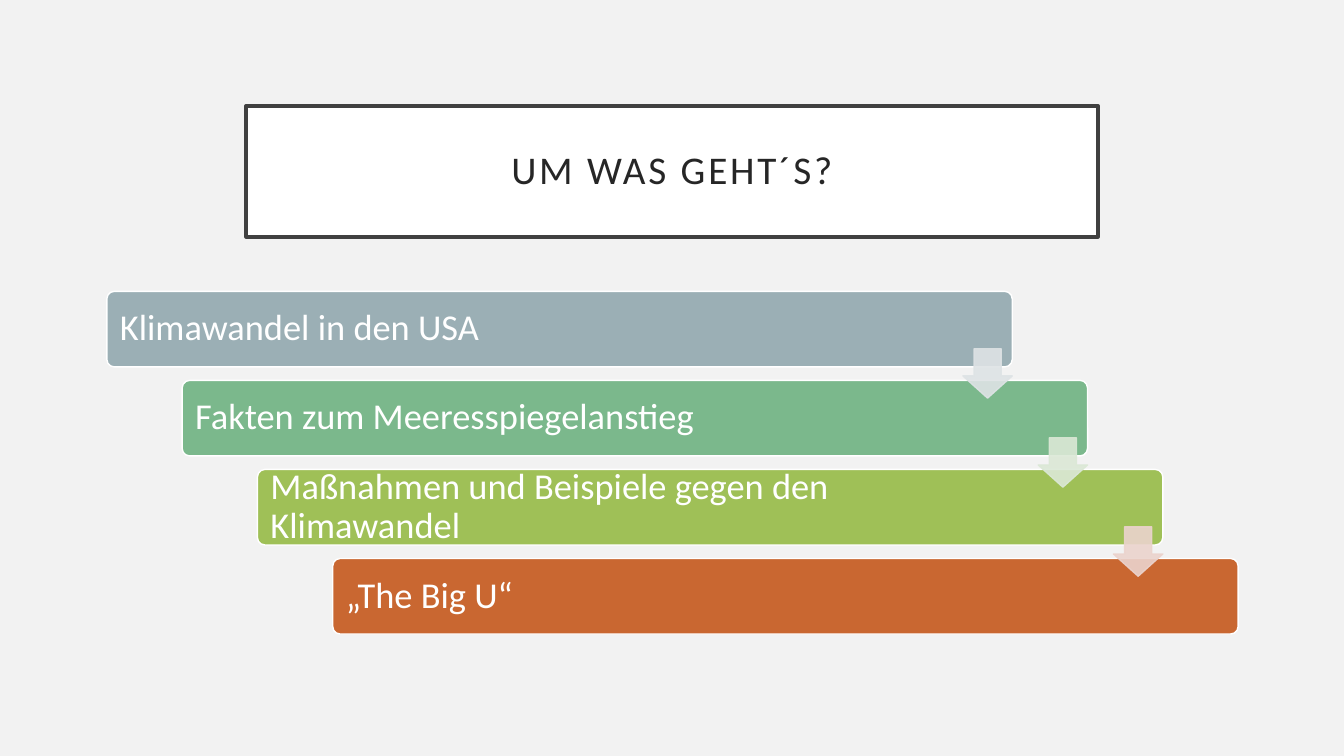
from pptx import Presentation
from pptx.dml.color import RGBColor
from pptx.enum.shapes import MSO_SHAPE
from pptx.enum.text import MSO_ANCHOR, PP_ALIGN
from pptx.oxml.ns import qn
from pptx.util import Inches, Pt
from lxml import etree

RECTANGLE = MSO_SHAPE.RECTANGLE
ROUNDED = MSO_SHAPE.ROUNDED_RECTANGLE
DOWN_ARROW = MSO_SHAPE.DOWN_ARROW
MIDDLE = MSO_ANCHOR.MIDDLE
LEFT, CENTER = PP_ALIGN.LEFT, PP_ALIGN.CENTER

BACKGROUND = RGBColor(0xF2, 0xF2, 0xF2)
WHITE = RGBColor(0xFF, 0xFF, 0xFF)
FRAME = RGBColor(0x40, 0x40, 0x40)
TITLE_INK = RGBColor(0x26, 0x26, 0x26)
SLATE = RGBColor(0x9B, 0xAF, 0xB5)
GREEN = RGBColor(0x7B, 0xB8, 0x8C)
LIME = RGBColor(0x9F, 0xC0, 0x57)
RUST = RGBColor(0xC9, 0x67, 0x31)
PALE_SLATE = RGBColor(0xDE, 0xE3, 0xE5)
PALE_GREEN = RGBColor(0xDB, 0xE8, 0xD6)
PALE_ROSE = RGBColor(0xEB, 0xD3, 0xCD)

# Topic, bar colour, colour of the arrow to the next topic
TOPICS = [
    ("Klimawandel in den USA", SLATE, PALE_SLATE),
    ("Fakten zum Meeresspiegelanstieg", GREEN, PALE_GREEN),
    ("Maßnahmen und Beispiele gegen den Klimawandel", LIME, PALE_ROSE),
    ("„The Big U“", RUST, None),
]


def add_panel(shapes, kind, box, fill, line, line_width, adjustments=()):
    """Add a filled, outlined preset shape; box is in inches."""
    shape = shapes.add_shape(kind, *map(Inches, box))
    shape.shadow.inherit = False
    shape.fill.solid()
    shape.fill.fore_color.rgb = fill
    shape.line.color.rgb = line
    shape.line.width = Pt(line_width)
    for index, value in enumerate(adjustments):
        shape.adjustments[index] = value
    return shape


def set_opacity(shape, percent):
    """Apply the opacity to both the fill and the outline."""
    for color in shape.element.spPr.iter(qn("a:srgbClr")):
        etree.SubElement(color, qn("a:alpha")).set("val", str(percent * 1000))


def write_text(shape, text, size, color, alignment, inset):
    frame = shape.text_frame
    frame_format = {"word_wrap": True, "vertical_anchor": MIDDLE}
    for side in ("left", "top", "right", "bottom"):
        frame_format[f"margin_{side}"] = Inches(inset)
    for name, value in frame_format.items():
        setattr(frame, name, value)
    paragraph = frame.paragraphs[0]
    paragraph.alignment = alignment
    paragraph.line_spacing = 0.9
    run = paragraph.add_run()
    run.text = text
    for name, value in {"name": "Calibri", "size": Pt(size)}.items():
        setattr(run.font, name, value)
    run.font.color.rgb = color
    return run


def add_title(slide, box, text):
    shape = add_panel(slide.shapes, RECTANGLE, box, WHITE, FRAME, 2.5)
    run = write_text(shape, text, 28, TITLE_INK, CENTER, 0.2)
    run.font._element.set("spc", "200")  # letter spacing of 2 pt


def add_staircase(slide, box, topics):
    """Stack bars, each shifted right, with arrows leading down the steps."""
    left, top, width, height = box
    bar_width, bar_height, arrow_size, padding = 8.98, 0.75, 0.49, 0.02
    step_x = (width - bar_width) / (len(topics) - 1)
    step_y = (height - bar_height) / (len(topics) - 1)
    shapes = slide.shapes.add_group_shape().shapes

    # Bars with their labels
    for index, (topic, color, _) in enumerate(topics):
        x, y = left + index * step_x, top + index * step_y
        add_panel(shapes, ROUNDED, (x, y, bar_width, bar_height),
                  color, WHITE, 1, [0.1])
        label_box = (x + padding, y + padding, 7.7, bar_height - 2 * padding)
        label = shapes.add_textbox(*map(Inches, label_box))
        write_text(label, topic, 26, WHITE, LEFT, 0.11)

    # Arrows at the right end of each bar but the last
    for index, (_, _, color) in enumerate(topics[:-1]):
        x = left + index * step_x + bar_width - arrow_size
        y = top + index * step_y + 0.57
        arrow = add_panel(shapes, DOWN_ARROW, (x, y, arrow_size, arrow_size),
                          color, color, 1)
        arrow.adjustments[0], arrow.adjustments[1] = 0.45, 0.55
        arrow.adjustments[0], arrow.adjustments[1] = 0.55, 0.45
        set_opacity(arrow, 90)


def main():
    presentation = Presentation()
    presentation.slide_width = Inches(13.33)
    presentation.slide_height = Inches(7.5)
    slide = presentation.slides.add_slide(presentation.slide_layouts[6])
    slide.background.fill.solid()
    slide.background.fill.fore_color.rgb = BACKGROUND
    add_title(slide, (2.44, 1.05, 8.45, 1.3), "UM WAS GEHT´S?")
    add_staircase(slide, (1.06, 2.89, 11.22, 3.4), TOPICS)
    presentation.save("out.pptx")


if __name__ == "__main__":
    main()
